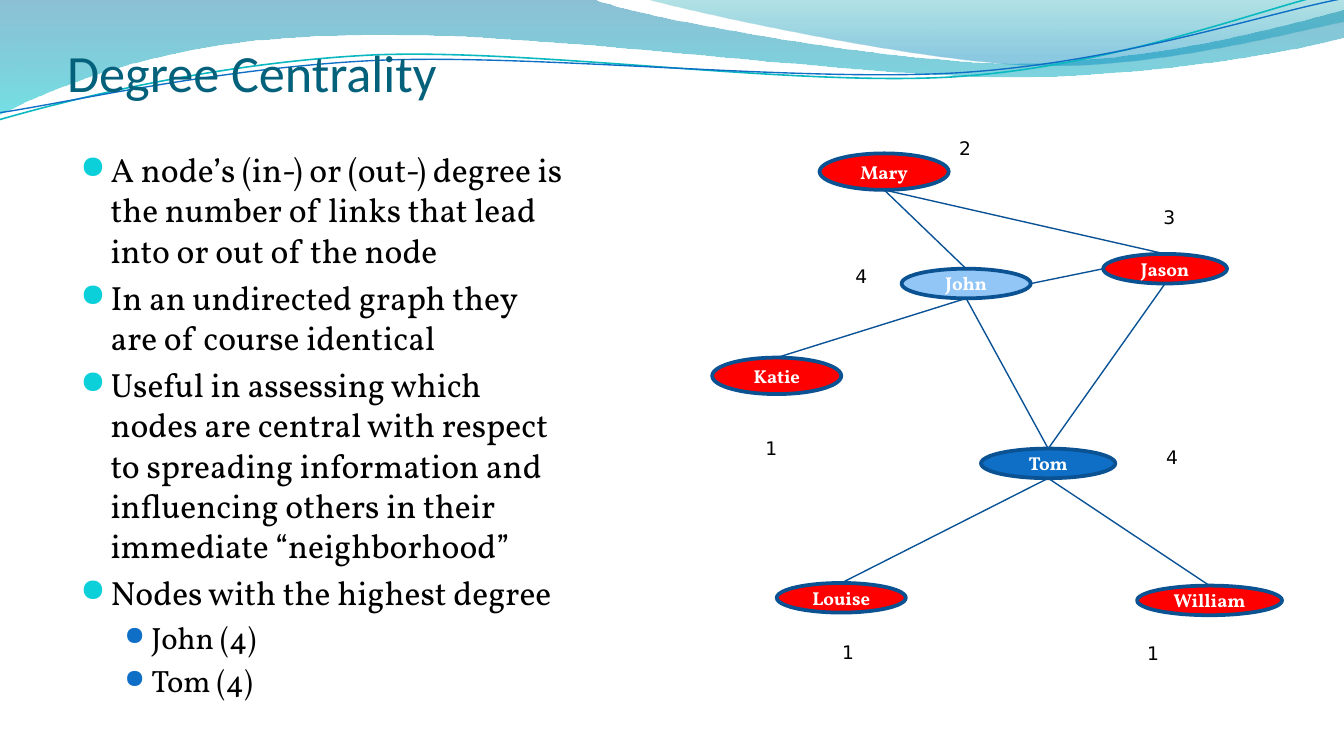
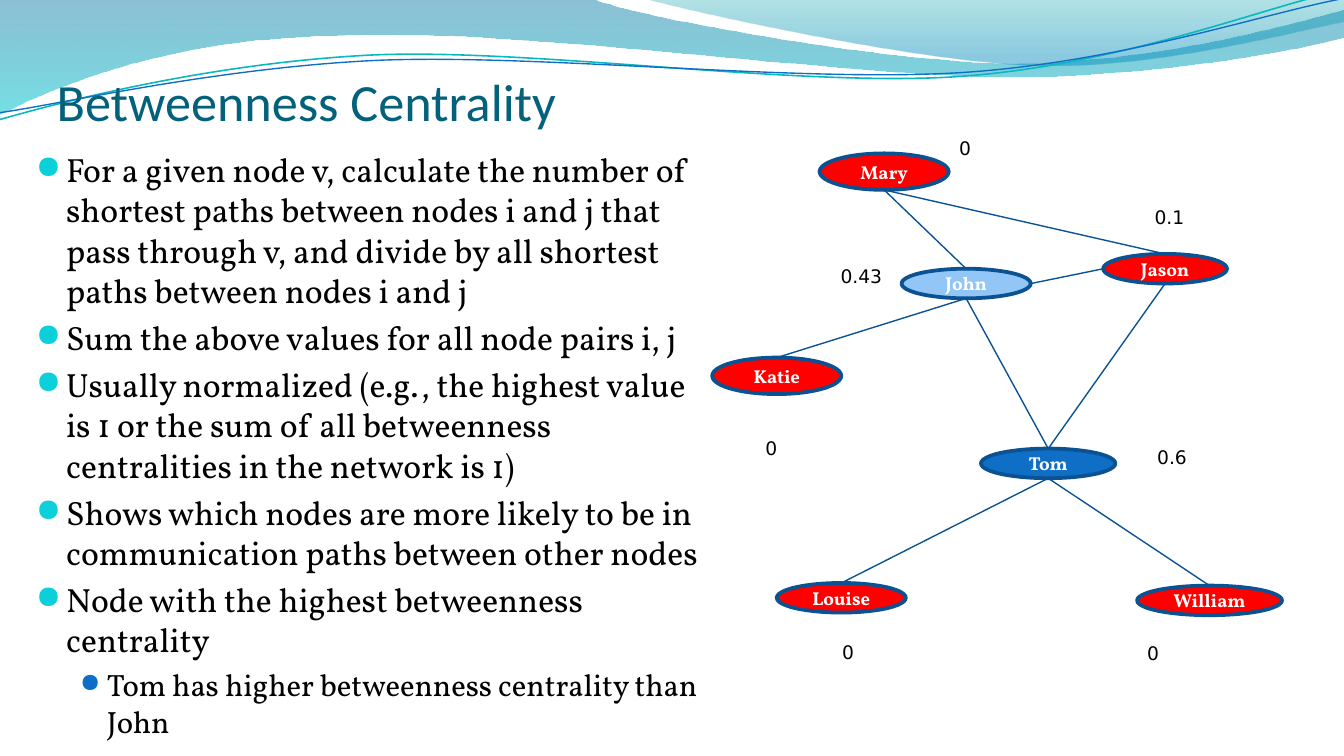
from dataclasses import dataclass
from typing import Any, NamedTuple

from lxml import etree
from pptx import Presentation
from pptx import util as u
from pptx.dml.color import RGBColor
from pptx.enum import shapes, text
from pptx.oxml.ns import qn

COLOURS = {
    "title": "04617B", "ink": "000000", "white": "FFFFFF",
    "bullet": "0BD0D9", "sub_bullet": "0F6FC6",
    "outline": "0B5292", "link": "095295",
    "person": "FF0000", "john": "91C6F7", "tom": "0F6FC6",
    "band_blue": "0074A1", "band_aqua": "00C6CF",
    "crest_aqua": "00A1A9", "crest_blue": "008BBF",
    "wave_aqua": "0AB8BF", "wave_blue": "0F6FC6",
}
FONTS = {"title": "Calibri", "body": "Vollkorn", "score": "DejaVu Sans",
         "bullet": "OpenSymbol"}
Point = tuple[float, float]


class Stop(NamedTuple):
    position: float
    colour: str
    opacity: int


@dataclass(frozen=True)
class Wave:
    """Outline in cm: one point is a straight segment, three a Bezier curve."""
    start: Point
    segments: list[tuple[Point, ...]]
    stops: tuple[Stop, ...] = ()
    line: str = ""
    weight: float = 0


@dataclass(frozen=True)
class Person:
    left: float
    top: float
    width: float
    height: float
    score_at: Point
    fill: str = "person"

    def side(self, name: str) -> Point:
        across, down = {"top": (0.5, 0), "bottom": (0.5, 1),
                        "left": (0, 0.5), "right": (1, 0.5)}[name]
        return self.left + across * self.width, self.top + down * self.height


class Link(NamedTuple):
    source: str
    target: str
    source_side: str = "bottom"
    target_side: str = "top"


class Bullet(NamedTuple):
    level: int
    words: str


class BulletStyle(NamedTuple):
    size: float
    margin: float
    hanging: float
    colour: str
    scale: int


@dataclass(frozen=True)
class Topic:
    title: str
    title_box: tuple[float, ...]
    body_box: tuple[float, ...]
    bullets: list[Bullet]
    scores: dict[str, str]


WAVES = [
    Wave((0, 0), [
        ((11.18, -0.03),),
        ((12.09, 0.33), (16.87, 1.19), (19.25, 1.19)),
        ((21.67, 1.19), (24.33, 0.48), (25.4, 0.18)),
        ((25.43, 0.69),),
        ((24.97, 0.84), (22.1, 1.45), (18.95, 1.45)),
        ((15.8, 1.42), (9.7, 0.53), (6.53, 0.66)),
        ((3.28, 0.69), (1.17, 1.57), (-0.03, 2.16)),
    ], stops=(Stop(0, "band_blue", 45), Stop(1, "band_aqua", 55))),
    Wave((12.17, -0.03), [
        ((12.93, 0.2), (17.32, 1.17), (19.53, 1.24)),
        ((21.74, 1.32), (24.41, 0.61), (25.4, 0.41)),
        ((25.4, 0),),
    ], stops=(Stop(0, "crest_aqua", 30), Stop(0.8, "crest_blue", 45))),
    Wave((0, 2.26), [
        ((1.22, 1.91), (4.01, 1.19), (7.04, 1.04)),
        ((10.06, 0.91), (15.04, 1.65), (18.08, 1.45)),
        ((21.16, 1.24), (23.85, 0.15), (25.35, -0.18)),
    ], line="wave_aqua", weight=0.85),
    Wave((0, 2.13), [
        ((1.19, 1.96), (4.17, 1.27), (7.19, 1.14)),
        ((10.24, 1.02), (15.16, 1.57), (18.21, 1.37)),
        ((21.23, 1.17), (23.9, 0.25), (25.4, -0.03)),
    ], line="wave_blue", weight=0.75),
]

PEOPLE = {
    "John": Person(17.04, 5.08, 2.44, 0.56, (15.57, 4.88), "john"),
    "Tom": Person(18.54, 8.48, 2.54, 0.56, (21.44, 8.31), "tom"),
    "Jason": Person(20.85, 4.8, 2.34, 0.56, (21.39, 3.76)),
    "Mary": Person(15.49, 2.9, 2.44, 0.69, (17.53, 2.46)),
    "Katie": Person(13.46, 6.76, 2.44, 0.69, (13.87, 8.13)),
    "Louise": Person(14.68, 11.02, 2.44, 0.56, (15.32, 11.99)),
    "William": Person(21.49, 11.07, 2.74, 0.56, (21.08, 12.01)),
}
LINKS = [
    Link("Mary", "John"), Link("John", "Tom"),
    Link("Katie", "John", "top", "bottom"), Link("Mary", "Jason"),
    Link("John", "Jason", "right", "left"), Link("Tom", "Louise"),
    Link("Tom", "William"), Link("Jason", "Tom"),
]
BULLET_STYLES = [
    BulletStyle(18, 0.57, 0.57, "bullet", 95),
    BulletStyle(16.5, 1.34, 0.51, "sub_bullet", 85),
]

TOPICS = [
    Topic(
        "Degree Centrality", (1.27, 0.58, 15.88, 1.37), (1.27, 2.69, 9.73, 10.46),
        [
            Bullet(0, "A node’s (in-) or (out-) degree is the number of links "
                      "that lead into or out of the node"),
            Bullet(0, "In an undirected graph they are of course identical"),
            Bullet(0, "Useful in assessing which nodes are central with respect to "
                      "spreading information and influencing others in their "
                      "immediate “neighborhood”"),
            Bullet(0, "Nodes with the highest degree"),
            Bullet(1, "John (4)"),
            Bullet(1, "Tom (4)"),
        ],
        {"William": "1", "Tom": "4", "John": "4", "Jason": "3",
         "Katie": "1", "Louise": "1", "Mary": "2"},
    ),
    Topic(
        "Betweenness Centrality", (1.07, 1.12, 11.23, 1.37), (0.43, 2.69, 13.03, 10.46),
        [
            Bullet(0, "For a given node v, calculate the number of shortest paths "
                      "between nodes i and j that pass through v, and divide by all "
                      "shortest paths between nodes i and j"),
            Bullet(0, "Sum the above values for all node pairs i, j"),
            Bullet(0, "Usually normalized (e.g., the highest value is 1 or the sum of "
                      "all betweenness centralities in the network is 1)"),
            Bullet(0, "Shows which nodes are more likely to be in communication paths "
                      "between other nodes"),
            Bullet(0, "Node with the highest betweenness centrality"),
            Bullet(1, "Tom has higher betweenness centrality than John"),
        ],
        {"William": "0", "Tom": "0.6", "John": "0.43", "Jason": "0.1",
         "Katie": "0", "Louise": "0", "Mary": "0"},
    ),
]


def rgb(name: str) -> RGBColor:
    return RGBColor.from_string(COLOURS[name])


def cm(values: tuple[float, ...]) -> list[u.Length]:
    return [u.Cm(value) for value in values]


def apply(target: Any, formats: dict[str, Any]) -> None:
    for attribute, value in formats.items():
        setattr(target, attribute, value)


def write(paragraph: Any, words: str, face: str, size: float, colour: str,
          bold: bool = False) -> None:
    run = paragraph.add_run()
    run.text = words
    apply(run.font, {"name": FONTS[face], "size": u.Pt(size), "bold": bold})
    run.font.color.rgb = rgb(colour)


# Shared background
def bend(shape: Any, segments: list[tuple[Point, ...]]) -> None:
    """Join the three straight steps of each curved segment into one curve."""
    steps = iter(list(shape._element.spPr.iter(qn("a:lnTo"))))
    for segment in segments:
        group = [next(steps) for _ in segment]
        if len(group) == 3:
            curve = etree.Element(qn("a:cubicBezTo"))
            group[0].addprevious(curve)
            for step in group:
                curve.append(step[0])
                step.getparent().remove(step)


def draw_wave(slide: Any, wave: Wave) -> Any:
    builder = slide.shapes.build_freeform(*cm(wave.start), scale=1.0)
    builder.add_line_segments([cm(point) for segment in wave.segments for point in segment],
                              close=bool(wave.stops))
    shape = builder.convert_to_shape()
    bend(shape, wave.segments)
    shape.shadow.inherit = False
    if wave.stops:
        shape.fill.gradient()
        shape.fill.gradient_angle = 270
        for gradient_stop, stop in zip(shape.fill.gradient_stops, wave.stops):
            gradient_stop.position = stop.position
            gradient_stop.color.rgb = rgb(stop.colour)
        tints = shape._element.spPr.iter(qn("a:srgbClr"))
        for tint, stop in zip(tints, wave.stops):
            etree.SubElement(tint, qn("a:alpha"), val=str(stop.opacity * 1000))
        shape.line.fill.background()
    else:
        shape.fill.background()
        shape.line.color.rgb = rgb(wave.line)
        shape.line.width = u.Pt(wave.weight)
    return shape


def move_waves_to_layout(slide: Any) -> None:
    tree = slide.slide_layout.shapes._spTree
    for position, wave in enumerate(WAVES, start=2):
        tree.insert(position, draw_wave(slide, wave)._element)


# Title and bullets
def draw_title(slide: Any, topic: Topic) -> None:
    title = slide.shapes.title
    apply(title, dict(zip(("left", "top", "width", "height"), cm(topic.title_box))))
    apply(title.text_frame, {
        "margin_left": 0, "margin_right": 0, "margin_top": u.Cm(0.13), "margin_bottom": 0,
        "vertical_anchor": text.MSO_ANCHOR.BOTTOM, "auto_size": text.MSO_AUTO_SIZE.NONE,
    })
    heading = title.text_frame.paragraphs[0]
    heading.alignment = text.PP_ALIGN.LEFT
    write(heading, topic.title, "title", 28, "title")


def add_bullet_mark(paragraph: Any, style: BulletStyle) -> None:
    properties = paragraph._p.get_or_add_pPr()
    properties.set("marL", str(u.Cm(style.margin)))
    properties.set("indent", str(-u.Cm(style.hanging)))
    tint = etree.SubElement(properties, qn("a:buClr"))
    etree.SubElement(tint, qn("a:srgbClr"), val=COLOURS[style.colour])
    etree.SubElement(properties, qn("a:buSzPct"), val=str(style.scale * 1000))
    etree.SubElement(properties, qn("a:buFont"), typeface=FONTS["bullet"])
    etree.SubElement(properties, qn("a:buChar"), char="●")


def draw_bullets(slide: Any, topic: Topic) -> None:
    frame = slide.shapes.add_textbox(*cm(topic.body_box)).text_frame
    frame.word_wrap = True
    for index, bullet in enumerate(topic.bullets):
        paragraph = frame.add_paragraph() if index else frame.paragraphs[0]
        style = BULLET_STYLES[bullet.level]
        add_bullet_mark(paragraph, style)
        apply(paragraph, {"level": bullet.level,
                          "space_before": u.Pt(0.2 * style.size if index else 0)})
        write(paragraph, bullet.words, "body", style.size, "ink")


# Network graph
def draw_person(slide: Any, name: str, person: Person) -> None:
    node = slide.shapes.add_shape(
        shapes.MSO_SHAPE.OVAL,
        *cm((person.left, person.top, person.width, person.height)))
    node.shadow.inherit = False
    node.fill.solid()
    node.fill.fore_color.rgb = rgb(person.fill)
    node.line.color.rgb = rgb("outline")
    node.line.width = u.Pt(2)
    apply(node.text_frame, {"vertical_anchor": text.MSO_ANCHOR.MIDDLE, "word_wrap": False})
    label = node.text_frame.paragraphs[0]
    label.alignment = text.PP_ALIGN.CENTER
    write(label, name, "body", 10, "white", bold=True)


def draw_link(slide: Any, link: Link) -> None:
    ends = (PEOPLE[link.source].side(link.source_side)
            + PEOPLE[link.target].side(link.target_side))
    edge = slide.shapes.add_connector(shapes.MSO_CONNECTOR.STRAIGHT, *cm(ends))
    edge.line.color.rgb = rgb("link")
    edge.line.width = u.Pt(0.75)
    etree.SubElement(edge._element.spPr, qn("a:effectLst"))


def draw_score(slide: Any, person: Person, value: str) -> None:
    frame = slide.shapes.add_textbox(*cm(person.score_at + (1.42, 0.69))).text_frame
    apply(frame, {"word_wrap": True, "auto_size": text.MSO_AUTO_SIZE.SHAPE_TO_FIT_TEXT})
    score = frame.paragraphs[0]
    score.alignment = text.PP_ALIGN.CENTER
    write(score, value, "score", 10, "ink")


def main() -> None:
    deck = Presentation()
    apply(deck, {"slide_width": u.Cm(25.4), "slide_height": u.Cm(14.29)})
    title_only = deck.slide_layouts[5]
    for index, topic in enumerate(TOPICS):
        slide = deck.slides.add_slide(title_only)
        if index == 0:
            move_waves_to_layout(slide)
        draw_title(slide, topic)
        draw_bullets(slide, topic)
        for name, person in PEOPLE.items():
            draw_person(slide, name, person)
        for link in LINKS:
            draw_link(slide, link)
        for name, value in topic.scores.items():
            draw_score(slide, PEOPLE[name], value)
    deck.save("out.pptx")


if __name__ == "__main__":
    main()
